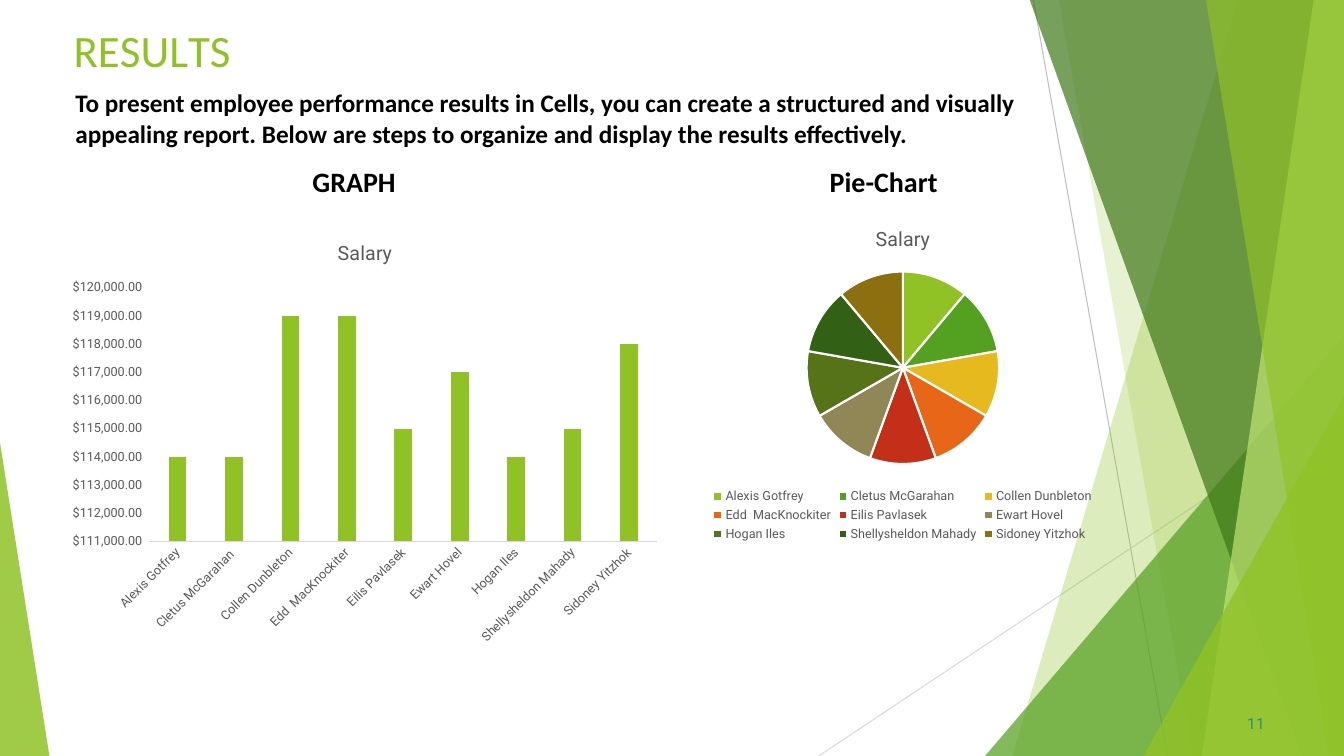
from lxml import etree
from pptx import Presentation
from pptx import util as u
from pptx.chart.data import CategoryChartData
from pptx.dml.color import RGBColor
from pptx.enum import chart as kinds, shapes, text
from pptx.oxml.ns import qn

PX = 9144  # 100 px to the inch
COLORS = {
    "lime": "90C226", "green": "54A021", "forest": "3F7819", "pale": "C0E474",
    "gold": "E6B91E", "orange": "E76618", "red": "C42F1A", "khaki": "918655",
    "olive": "567417", "pine": "326014", "brown": "8C7010", "teal": "2D936B",
    "black": "000000", "white": "FFFFFF", "gray": "595959",
    "silver": "BFBFBF", "mist": "D9D9D9",
}
RGB = {name: RGBColor.from_string(value) for name, value in COLORS.items()}

deck = Presentation()
deck.slide_width, deck.slide_height = 1333 * PX, 750 * PX
page = deck.slides.add_slide(deck.slide_layouts[6])


def paint(shape, color, opacity):
    shape.shadow.inherit = False
    shape.line.fill.background()
    shape.fill.solid()
    shape.fill.fore_color.rgb = RGB[color]
    tint = shape.fill._xPr.find(".//" + qn("a:srgbClr"))
    etree.SubElement(tint, qn("a:alpha")).set("val", str(opacity * 1000))


def write(spans, place, size, color="black", font="Calibri", bold=False, inset=(10, 5)):
    """Add a text box; spans are (words, letter spacing in 1/100 pt) pairs."""
    box = page.shapes.add_textbox(*(n * PX for n in place))
    frame = box.text_frame
    frame.word_wrap = True
    frame.auto_size = text.MSO_AUTO_SIZE.NONE
    frame.margin_left = frame.margin_right = inset[0] * PX
    frame.margin_top = frame.margin_bottom = inset[1] * PX
    para = frame.paragraphs[0]
    for words, spacing in spans:
        span = para.add_run()
        span.text = words
        span.font.size, span.font.name, span.font.bold = u.Pt(size), font, bold
        span.font.color.rgb = RGB[color]
        if spacing:
            span._r.get_or_add_rPr().set("spc", str(spacing))


# Thin background lines
for ends, color in [((1025, 0, 1158, 750), "silver"), ((1333, 403, 812, 750), "mist")]:
    line = page.shapes.add_connector(shapes.MSO_CONNECTOR.STRAIGHT, *(n * PX for n in ends))
    line.line.color.rgb = RGB[color]
    line.line.width = u.Pt(0.75)
    etree.SubElement(line._element.spPr, qn("a:effectLst"))

# Translucent facets: bands take their top and bottom left corners, and run
# to the right edge; triangles take a place and the position of their apex
facets = [
    ("band", (1228, 1004), "lime", 30),
    ("band", (1050, 1183), "lime", 20),
    ("triangle", (977, 333, 356, 417, 1), "green", 72),
    ("band", (1021, 1291), "forest", 70),
    ("band", (1303, 1192), "pale", 70),
    ("band", (1196, 1318), "lime", 65),
    ("triangle", (1134, 393, 199, 357, 1), "lime", 80),
    ("triangle", (0, 439, 49, 311, 0), "lime", 85),
]
for kind, numbers, color, opacity in facets:
    if kind == "band":
        top, bottom = numbers
        outline = page.shapes.build_freeform(top, -1, scale=PX)
        outline.add_line_segments([(1333, -1), (1333, 750), (bottom, 750)], close=True)
        facet = outline.convert_to_shape()
    else:
        *place, apex = numbers
        facet = page.shapes.add_shape(
            shapes.MSO_SHAPE.ISOSCELES_TRIANGLE, *(n * PX for n in place))
        facet.adjustments[0] = apex
    paint(facet, color, opacity)

# Headings, introduction and page number
write([("R", 0), ("E", -40), ("S", 10), ("U", -30), ("L", -400), ("TS", 0)],
      (73, 22, 267, 55), 32, color="lime", inset=(0, 1))
write([("To present employee performance results in Cells, you can create a structured "
        "and visually appealing report. Below are steps to organize and display the "
        "results effectively.", 0)], (65, 82, 976, 164), 18, bold=True)
write([("GRAPH", 0)], (300, 158, 142, 44), 20, bold=True)
write([("Pie-Chart", 0)], (813, 158, 245, 44), 20, bold=True)
write([("11", 10)], (1237, 707, 25, 21), 11, color="teal", font="Roboto", inset=(0, 1))

# Salary charts: amounts in the columns, rounded percentages in the pie
salaries = {
    "Alexis Gotfrey": 114000, "Cletus McGarahan ": 114000, "Collen Dunbleton": 119000,
    "Edd  MacKnockiter": 119000, "Eilis Pavlasek": 115000, "Ewart Hovel": 117000,
    "Hogan Iles": 114000, "Shellysheldon Mahady": 115000, "Sidoney Yitzhok": 118000,
}
total = sum(salaries.values())
shares = [round(100 * salary / total) for salary in salaries.values()]

charts = []
for kind, place, values in [
        (kinds.XL_CHART_TYPE.COLUMN_CLUSTERED, (60, 220, 604, 428), salaries.values()),
        (kinds.XL_CHART_TYPE.PIE, (608, 208, 575, 333), shares)]:
    data = CategoryChartData()
    data.categories = list(salaries)
    data.add_series("Salary", list(values))
    chart = page.shapes.add_chart(kind, *(n * PX for n in place), data).chart
    chart.font.name, chart.font.size = "Roboto", u.Pt(9)
    chart.font.color.rgb = RGB["gray"]
    chart.has_title = True
    chart.chart_title.include_in_layout = False
    title = chart.chart_title.text_frame.paragraphs[0].add_run()
    title.text = "Salary"
    title.font.name, title.font.size, title.font.bold = "Roboto", u.Pt(14), False
    title.font.color.rgb = RGB["gray"]
    charts.append(chart)
columns, pie = charts

# Column chart format
columns.has_legend = False
plot = columns.plots[0]
plot.vary_by_categories = False
plot.gap_width, plot.overlap = 219, -27
bars = plot.series[0].format.fill
bars.solid()
bars.fore_color.rgb = RGB["lime"]
names, amounts = columns.category_axis, columns.value_axis
for axis in (names, amounts):
    axis.has_major_gridlines = False
    axis.major_tick_mark = axis.minor_tick_mark = kinds.XL_TICK_MARK.NONE
    axis.tick_labels.font.size = u.Pt(9)
names.format.line.color.rgb = RGB["mist"]
names.format.line.width = u.Pt(0.75)
names._element.find(qn("c:txPr")).find(qn("a:bodyPr")).set("rot", "-2700000")
amounts.format.line.fill.background()
amounts.minimum_scale, amounts.maximum_scale = 111000, 120000
amounts.major_unit = 1000
amounts.tick_labels.number_format = '"$"#,##0.00_);[Red]\\("$"#,##0.00\\)'
amounts.tick_labels.number_format_is_linked = False

# Pie chart format
pie.has_legend = True
pie.legend.position = kinds.XL_LEGEND_POSITION.BOTTOM
pie.legend.include_in_layout = False
pie.legend.font.size = u.Pt(9)
slices = ["lime", "green", "gold", "orange", "red", "khaki", "olive", "pine", "brown"]
for index, color in enumerate(slices):
    style = pie.plots[0].series[0].points[index].format
    style.fill.solid()
    style.fill.fore_color.rgb = RGB[color]
    style.line.color.rgb = RGB["white"]
    style.line.width = u.Pt(1.5)

deck.save("out.pptx")
